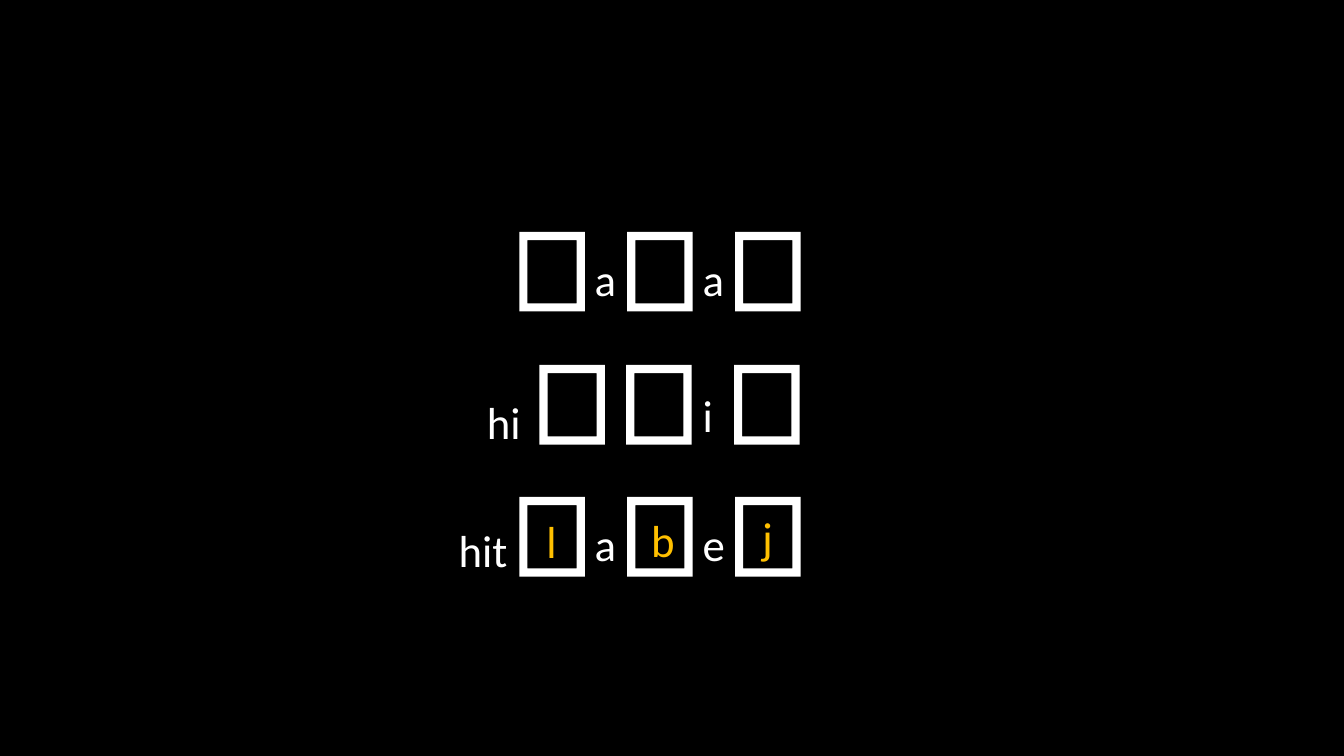
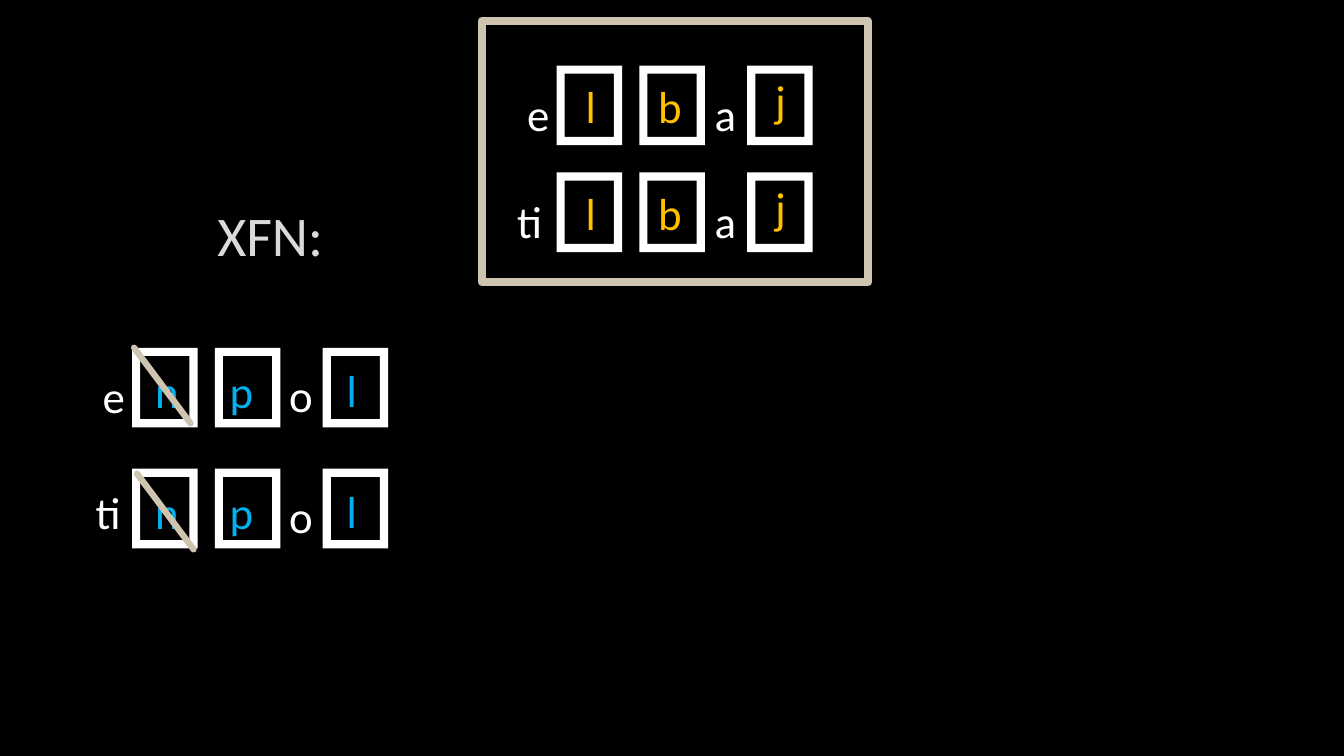
from lxml import etree
from pptx import Presentation
from pptx.dml.color import RGBColor
from pptx.enum.shapes import MSO_CONNECTOR, MSO_SHAPE
from pptx.enum.text import MSO_ANCHOR, MSO_AUTO_SIZE, PP_ALIGN
from pptx.oxml.ns import qn
from pptx.util import Inches, Pt

FRAME = MSO_SHAPE.FRAME
RECTANGLE = MSO_SHAPE.RECTANGLE
STRAIGHT = MSO_CONNECTOR.STRAIGHT
MIDDLE = MSO_ANCHOR.MIDDLE
GROW = MSO_AUTO_SIZE.SHAPE_TO_FIT_TEXT
CENTER = PP_ALIGN.CENTER

BLACK, WHITE, GREY = "000000", "FFFFFF", "DADADA"
GOLD, BLUE, SAND = "FFC000", "00B0F0", "CEC4B0"
FONT = "Calibri"
FRAME_WIDTH, FRAME_HEIGHT = 0.65, 0.79
LETTER_HEIGHT = 0.64
LETTER_WIDTHS = {
    "a": 0.42, "b": 0.43, "e": 0.41, "hi": 0.58, "hit": 0.71, "i": 0.33,
    "j": 0.32, "l": 0.32, "n": 0.45, "o": 0.45, "p": 0.44, "ti": 0.46,
}
LETTER_FORMAT = {"word_wrap": False, "auto_size": GROW}
TITLE_FORMAT = {"word_wrap": True, "vertical_anchor": MIDDLE}

EVEN_FRAMES = (0, 1.07, 2.14)
CLOSE_FRAMES = (0, 0.86, 1.93)
ROOT_FRAMES = (0, 0.82, 1.89)

PATTERNS = [
    (5.15, 2.3, EVEN_FRAMES,
     [("a", 0.65, 0.15, WHITE), ("a", 1.72, 0.15, WHITE)]),
    (5.35, 3.62, CLOSE_FRAMES,
     [("hi", -0.62, 0.25, WHITE), ("i", 1.52, 0.18, WHITE)]),
    (5.15, 4.93, EVEN_FRAMES,
     [("hit", -0.7, 0.21, WHITE), ("a", 0.65, 0.15, WHITE),
      ("e", 1.72, 0.15, WHITE), ("l", 0.17, 0.12, GOLD),
      ("b", 1.21, 0.11, GOLD), ("j", 2.31, 0.08, GOLD)]),
]

LBJ = [("a", 1.47, 0.16, WHITE), ("l", 0.19, 0.08, GOLD),
       ("b", 0.91, 0.08, GOLD), ("j", 2.07, 0.02, GOLD)]
NPL = [("o", 1.46, 0.15, WHITE), ("n", 0.13, 0.11, BLUE),
       ("p", 0.87, 0.11, BLUE), ("l", 2.03, 0.1, BLUE)]
CONJUGATIONS = [
    (5.52, 0.65, ROOT_FRAMES, [("e", -0.39, 0.16, WHITE)] + LBJ),
    (5.52, 1.71, ROOT_FRAMES, [("ti", -0.49, 0.16, WHITE)] + LBJ),
    (1.31, 3.45, ROOT_FRAMES, [("e", -0.39, 0.16, WHITE)] + NPL),
    (1.31, 4.65, ROOT_FRAMES, [("ti", -0.46, 0.11, WHITE)] + NPL),
]
STRIKES = [(1.33, 3.45), (1.36, 4.7)]
STRIKE_WIDTH, STRIKE_HEIGHT = 0.56, 0.75


def color(value):
    """Turn a hex string into a colour."""
    return RGBColor.from_string(value)


def add_text(page, text, place, size, tint, frame_format, align=None):
    """Add one line of text."""
    box = page.shapes.add_textbox(*map(Inches, place))
    for name, value in frame_format.items():
        setattr(box.text_frame, name, value)
    para = box.text_frame.paragraphs[0]
    para.alignment = align
    span = para.add_run()
    span.text = text
    for name, value in {"name": FONT, "size": Pt(size)}.items():
        setattr(span.font, name, value)
    span.font.color.rgb = color(tint)


def add_frame(page, left, top):
    """Add an empty white frame for a root consonant."""
    frame = page.shapes.add_shape(
        FRAME, *map(Inches, (left, top, FRAME_WIDTH, FRAME_HEIGHT)))
    frame.shadow.inherit = False
    frame.fill.solid()
    frame.fill.fore_color.rgb = color(WHITE)
    frame.line.fill.background()


def add_word(page, left, top, frames, letters):
    """Add the frames and letters of one word pattern."""
    for shift in frames:
        add_frame(page, left + shift, top)
    for text, right, down, tint in letters:
        place = (left + right, top + down, LETTER_WIDTHS[text], LETTER_HEIGHT)
        add_text(page, text, place, 32, tint, LETTER_FORMAT)


def set_line(line, width):
    """Give a line the sand colour and a width."""
    line.color.rgb = color(SAND)
    line.width = Pt(width)


def add_border(page, place):
    """Add an unfilled rectangle with a thick edge."""
    border = page.shapes.add_shape(RECTANGLE, *map(Inches, place))
    border.shadow.inherit = False
    border.fill.background()
    set_line(border.line, 6)


def add_strike(page, left, top):
    """Cross out a letter with a round-ended diagonal."""
    ends = (left, top, left + STRIKE_WIDTH, top + STRIKE_HEIGHT)
    strike = page.shapes.add_connector(STRAIGHT, *map(Inches, ends))
    set_line(strike.line, 4.5)
    properties = strike.element.spPr
    properties.find(qn("a:ln")).set("cap", "rnd")
    etree.SubElement(properties, qn("a:effectLst"))


def add_page(deck, words):
    """Add a blank page holding the given words."""
    page = deck.slides.add_slide(deck.slide_layouts[6])
    for word in words:
        add_word(page, *word)
    return page


def main():
    """Build and save the deck."""
    deck = Presentation()
    deck.slide_width, deck.slide_height = Inches(13.33), Inches(7.5)
    background = deck.slide_master.background.fill
    background.solid()
    background.fore_color.rgb = color(BLACK)

    add_page(deck, PATTERNS)

    page = add_page(deck, CONJUGATIONS)
    add_text(page, "XFN:", (0.38, 1.84, 4.6, 0.96), 40, GREY, TITLE_FORMAT, CENTER)
    add_border(page, (4.78, 0.21, 3.83, 2.59))
    for left, top in STRIKES:
        add_strike(page, left, top)

    deck.save("out.pptx")


if __name__ == "__main__":
    main()
